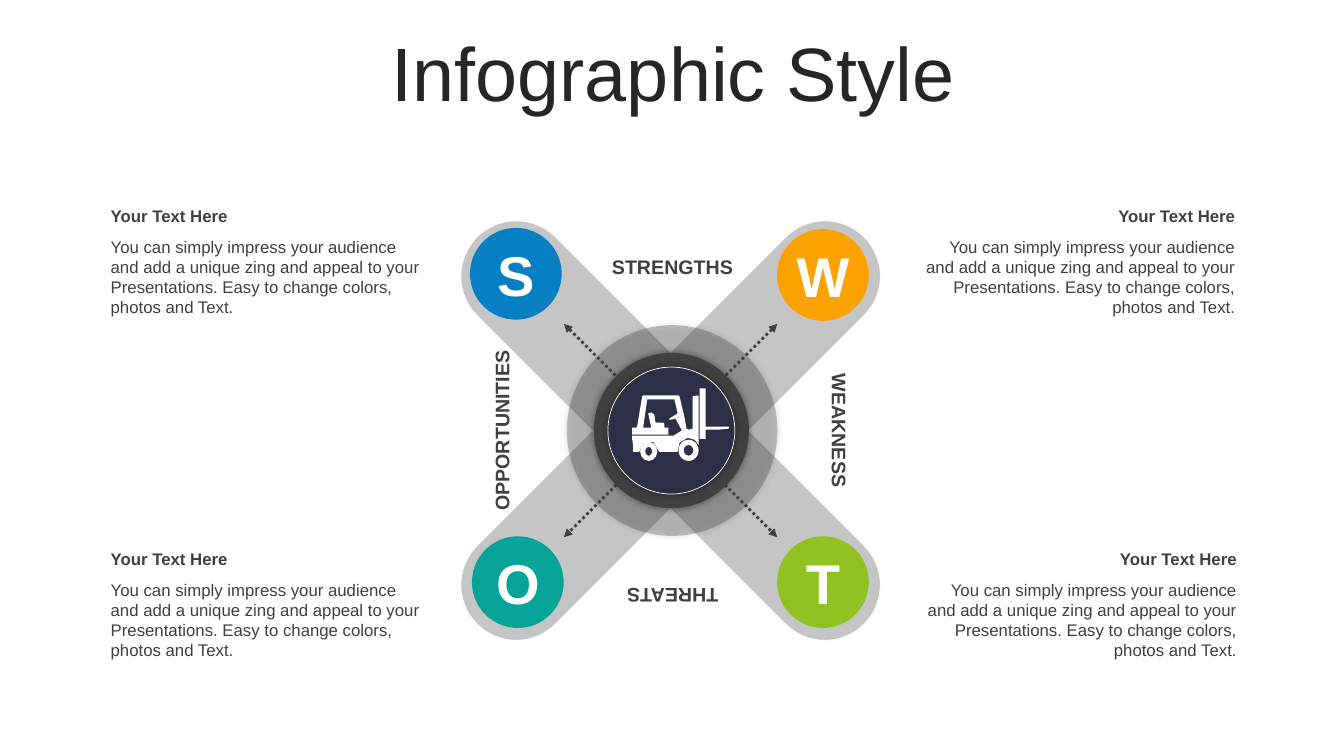
from dataclasses import dataclass

from lxml.etree import SubElement
from pptx import Presentation
from pptx.dml.color import RGBColor
from pptx.enum.dml import MSO_LINE
from pptx.enum.shapes import MSO_CONNECTOR, MSO_SHAPE
from pptx.enum.text import MSO_ANCHOR, PP_ALIGN
from pptx.oxml.ns import qn
from pptx.util import Cm, Pt


@dataclass(frozen=True)
class Theme:
    """Colours and type sizes of the slide."""
    font: str = "Arial"
    title: str = "262626"
    dark: str = "404040"
    core: str = "2C2F45"
    white: str = "FFFFFF"
    shadow: str = "000000"
    blue: str = "0680C3"
    orange: str = "FBA200"
    teal: str = "07A398"
    green: str = "90C221"
    title_size: int = 54
    letter_size: int = 40
    label_size: int = 14
    body_size: int = 12


@dataclass(frozen=True)
class Box:
    """A rectangle in centimetres."""
    left: float
    top: float
    width: float
    height: float

    def around(self, dx, dy, width, height):
        """Return a box whose centre is offset from this box's centre."""
        return Box(self.left + self.width / 2 + dx - width / 2,
                   self.top + self.height / 2 + dy - height / 2, width, height)

    def lengths(self):
        """Return the four lengths for a python-pptx call."""
        return Cm(self.left), Cm(self.top), Cm(self.width), Cm(self.height)


THEME = Theme()
HEADING = "Your Text Here"
BODY = ("You can simply impress your audience and add a unique zing and appeal to your "
        "Presentations. Easy to change colors, photos and Text.")
LETTERS = [("S", THEME.blue, -3.92, -3.95), ("W", THEME.orange, 3.82, -3.92),
           ("O", THEME.teal, -3.87, 3.82), ("T", THEME.green, 3.82, 3.82)]
LABELS = [("STRENGTHS", 0, 0.03, -1.05), ("WEAKNESS", 90, 1.17, 0),
          ("OPPORTUNITIES", 270, -1.21, 0), ("THREATS", 180, 0.03, 1.1)]
TRUCK = [(0, 39), (4, 39), (5, 38), (10, 8), (11, 7), (46, 7), (47, 8), (48, 12),
         (52, 29), (54, 40), (56, 41), (60, 40), (60, 8), (65, 7), (66, 8), (66, 56),
         (62, 51), (55, 49), (47, 54), (45, 63), (27, 63), (21, 53), (11, 55), (7, 63),
         (1, 63), (1, 56), (0, 50), (0, 47), (41, 47), (49, 42), (49, 41), (43, 30),
         (39, 31), (37, 31), (37, 30), (45, 25), (45, 24), (42, 11), (15, 11), (11, 39),
         (19, 39), (16, 25), (19, 24), (22, 26), (23, 33), (24, 34), (31, 34), (32, 35),
         (32, 39), (36, 39), (36, 46), (0, 46)]
WINDOW = [(47, 31), (46, 28), (45, 28)]
MAST = [(67, 0), (73, 0), (73, 38), (96, 38), (96, 40), (86, 41), (73, 41), (73, 50), (67, 50)]
WHEELS = [(46, 51, 20, 21, 0.26), (8, 53, 17, 19, 0.3)]


def write(frame, text, size, color, align=PP_ALIGN.LEFT, bold=False):
    """Write one run into the first paragraph of a frame."""
    frame.word_wrap = True
    paragraph = frame.paragraphs[0]
    paragraph.alignment = align
    run = paragraph.add_run()
    run.text = text
    run.font.name, run.font.size, run.font.bold = THEME.font, Pt(size), bold
    run.font.color.rgb = RGBColor.from_string(color)
    return paragraph


def add_text(slide, box, *args, **options):
    """Add a text box and return it with its paragraph."""
    shape = slide.shapes.add_textbox(*box.lengths())
    return shape, write(shape.text_frame, *args, **options)


def paint(shape, color, opacity=None, outline=None, glow=False):
    """Set the fill, outline and shadow of a shape."""
    shape.shadow.inherit = False
    shape.fill.solid()
    shape.fill.fore_color.rgb = RGBColor.from_string(color)
    properties = shape.element.spPr
    if opacity:
        tint = properties.find(qn("a:solidFill")).find(qn("a:srgbClr"))
        SubElement(tint, qn("a:alpha"), val=str(opacity * 1000))
    if outline:
        shape.line.color.rgb = RGBColor.from_string(outline)
        shape.line.width = Pt(0.5)
    else:
        shape.line.fill.background()
    if glow:
        outer = SubElement(properties.find(qn("a:effectLst")), qn("a:outerShdw"),
                           blurRad=str(Pt(5)), dist="0", dir="0", algn="ctr", rotWithShape="0")
        tint = SubElement(outer, qn("a:srgbClr"), val=THEME.shadow)
        SubElement(tint, qn("a:alpha"), val="40000")


def add_preset(slide, preset, box, color, **options):
    """Add a painted preset shape."""
    shape = slide.shapes.add_shape(preset, *box.lengths())
    paint(shape, color, **options)
    return shape


def add_arrow(slide, start, end):
    """Add a dotted line with an arrowhead at both ends."""
    arrow = slide.shapes.add_connector(MSO_CONNECTOR.STRAIGHT, *map(Cm, start + end))
    arrow.line.color.rgb = RGBColor.from_string(THEME.dark)
    arrow.line.width = Pt(2)
    arrow.line.dash_style = MSO_LINE.ROUND_DOT
    properties = arrow.element.spPr
    for tag in ("a:headEnd", "a:tailEnd"):
        SubElement(properties.find(qn("a:ln")), qn(tag), type="triangle")
    SubElement(properties, qn("a:effectLst"))


def add_title(slide, box):
    """Place the slide title."""
    shape, paragraph = add_text(slide, box, "Infographic Style", THEME.title_size,
                                THEME.title, PP_ALIGN.CENTER)
    shape.text_frame.vertical_anchor = MSO_ANCHOR.MIDDLE
    paragraph.line_spacing = 0.9
    paragraph.space_before = Pt(10)


def add_note(slide, box, align, heading_width, body_width):
    """Place a heading and its text against the aligned side of the box."""
    parts = [(HEADING, 0, heading_width, 0.76, True), (BODY, 0.78, body_width, 2.31, False)]
    for text, drop, width, height, bold in parts:
        indent = box.width - width if align == PP_ALIGN.RIGHT else 0
        place = Box(box.left + indent, box.top + drop, width, height)
        add_text(slide, place, text, THEME.body_size, THEME.dark, align, bold=bold)


def add_forklift(slide, box):
    """Draw the forklift on a grid 96 units wide."""
    unit = box.width / 96
    for outline, holes in ((TRUCK, [WINDOW]), (MAST, [])):
        builder = slide.shapes.build_freeform(*outline[0], scale=Cm(unit))
        builder.add_line_segments(outline[1:])
        for hole in holes:
            builder.move_to(*hole[0])
            builder.add_line_segments(hole[1:])
        paint(builder.convert_to_shape(Cm(box.left), Cm(box.top)), THEME.white)
    for x, y, width, height, thickness in WHEELS:
        place = Box(box.left + x * unit, box.top + y * unit, width * unit, height * unit)
        wheel = add_preset(slide, MSO_SHAPE.DONUT, place, THEME.white)
        wheel.adjustments[0] = thickness


def add_cross(slide, box):
    """Place the SWOT cross with its labels, hub and letters."""
    for text, angle, dx, dy in LABELS:
        label, _ = add_text(slide, box.around(dx, dy, 7.77, 6.98), text, THEME.label_size,
                            THEME.dark, PP_ALIGN.CENTER, bold=True)
        label.rotation = angle
    for angle in (45, 315):
        arm = add_preset(slide, MSO_SHAPE.ROUNDED_RECTANGLE, box.around(-0.02, 0, 2.79, 13.79),
                         THEME.dark, opacity=30, outline=THEME.white)
        arm.adjustments[0] = 0.5
        arm.rotation = angle
    add_preset(slide, MSO_SHAPE.OVAL, box.around(0.02, 0, 5.31, 5.31), THEME.dark,
               opacity=30, glow=True)
    span = box.around(-0.02, 0, 5.38, 5.38)
    right, bottom = span.left + span.width, span.top + span.height
    add_arrow(slide, (span.left, span.top), (right, bottom))
    add_arrow(slide, (right, span.top), (span.left, bottom))
    add_preset(slide, MSO_SHAPE.OVAL, box.around(0, 0, 3.91, 3.91), THEME.dark, glow=True)
    add_preset(slide, MSO_SHAPE.OVAL, box.around(0, 0, 3.2, 3.2), THEME.core,
               outline=THEME.white, glow=True)
    for letter, color, dx, dy in LETTERS:
        disc = add_preset(slide, MSO_SHAPE.OVAL, box.around(dx, dy, 2.31, 2.31), color)
        frame = disc.text_frame
        frame.margin_left = frame.margin_right = frame.margin_top = frame.margin_bottom = 0
        frame.vertical_anchor = MSO_ANCHOR.MIDDLE
        write(frame, letter, THEME.letter_size, THEME.white, PP_ALIGN.CENTER, bold=True)
    add_forklift(slide, box.around(0.23, -0.15, 2.44, 1.83))


def main():
    """Build and save the slide."""
    presentation = Presentation()
    presentation.slide_width, presentation.slide_height = Cm(33.87), Cm(19.05)
    slide = presentation.slides.add_slide(presentation.slide_layouts[6])
    add_title(slide, Box(0.89, 0.94, 32.16, 2.01))
    add_cross(slide, Box(11.67, 5.6, 10.5, 10.5))
    add_note(slide, Box(2.54, 5.05, 8.46, 3.1), PP_ALIGN.LEFT, 8.46, 8.36)
    add_note(slide, Box(2.54, 13.7, 8.53, 3.1), PP_ALIGN.LEFT, 8.46, 8.53)
    add_note(slide, Box(22.92, 5.05, 8.46, 3.1), PP_ALIGN.RIGHT, 8.46, 8.36)
    add_note(slide, Box(22.89, 13.7, 8.53, 3.1), PP_ALIGN.RIGHT, 8.46, 8.53)
    presentation.save("out.pptx")


main()
